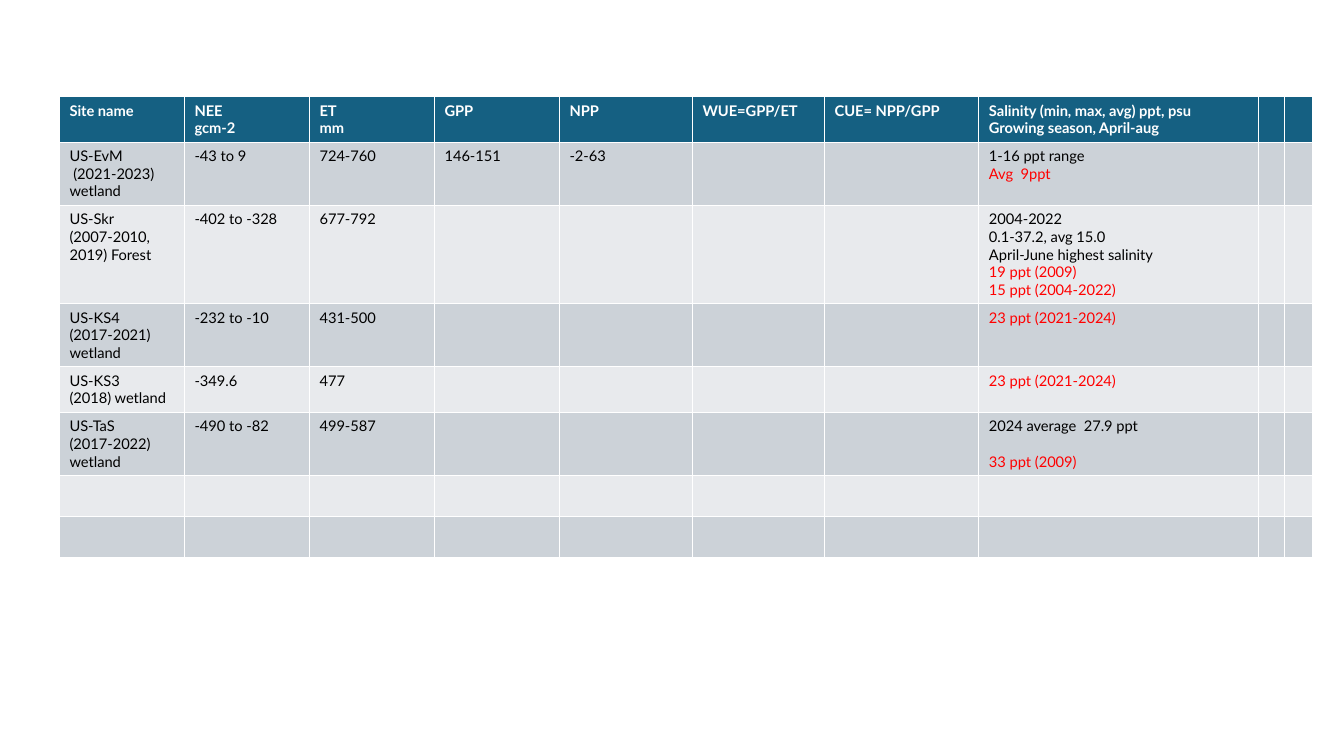
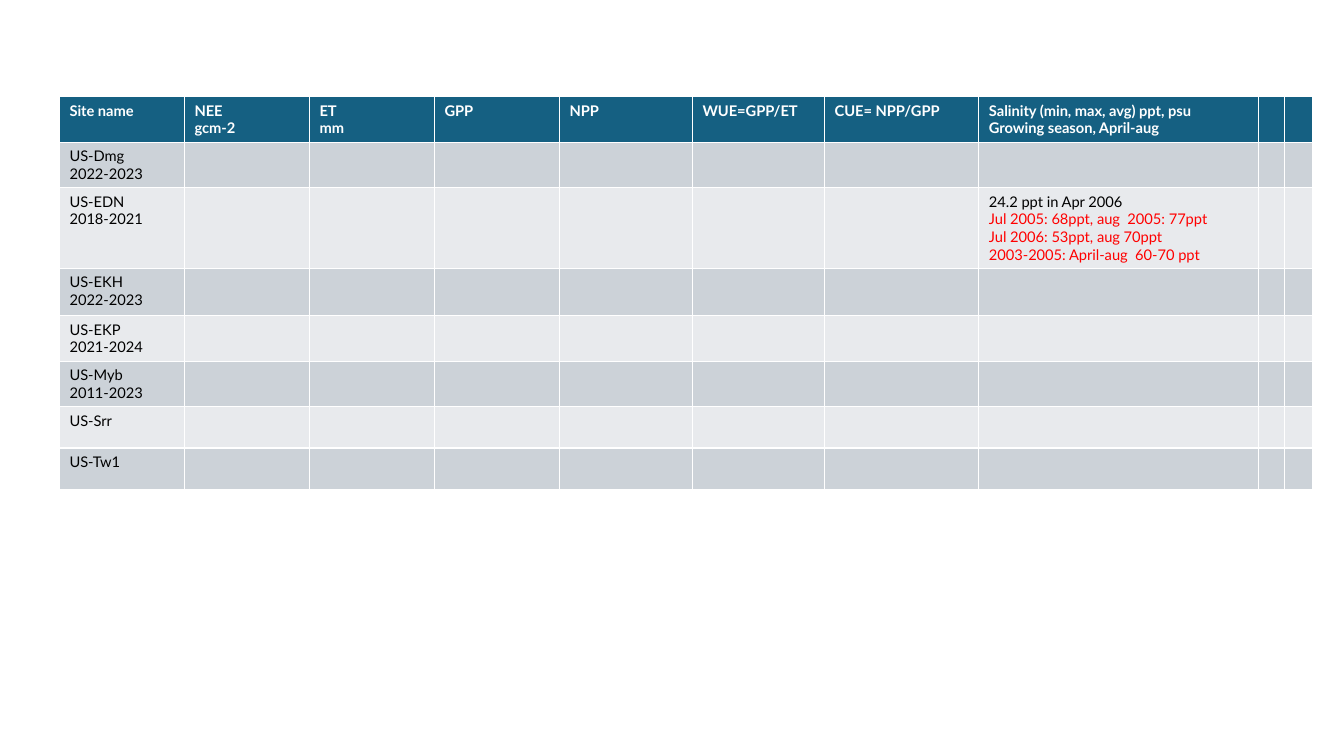
import pptx
import pptx.dml.color
import pptx.util

Inches, Pt = pptx.util.Inches, pptx.util.Pt
RGBColor = pptx.dml.color.RGBColor

TEAL = RGBColor(0x15, 0x60, 0x82)
BAND_DARK = RGBColor(0xCC, 0xD2, 0xD8)
BAND_LIGHT = RGBColor(0xE8, 0xEA, 0xED)
WHITE = RGBColor(0xFF, 0xFF, 0xFF)
BLACK = RGBColor(0, 0, 0)
RED = RGBColor(0xFF, 0, 0)

HEADINGS = [
    "Site name", "NEE\ngcm-2", "ET\nmm", "GPP", "NPP", "WUE=GPP/ET", "CUE= NPP/GPP",
    "Salinity (min, max, avg) ppt, psu\nGrowing season, April-aug", "", "",
]
COLUMN_WIDTHS = [1.24, 1.24, 1.24, 1.24, 1.32, 1.31, 1.53, 2.77, 0.26, 0.28]
ROW_HEIGHTS = [0.41, 0.41, 0.41, 0.47, 0.41, 0.41, 0.41, 0.41]
SALINITY_COLUMN = 7
LEFT, TOP = 0.59, 0.96

FORMAT = {"name": "Lato", "size": Pt(10.5)}
LINE_GAP = Pt(12.6)

SITE_TABLES = [
    [
        {"values": ["US-EvM\n (2021-2023) wetland", "-43 to 9", "724-760", "146-151", "-2-63"],
         "salinity": "1-16 ppt range", "red": "Avg  9ppt"},
        {"values": ["US-Skr\n(2007-2010, 2019) Forest", "-402 to -328", "677-792"],
         "salinity": "2004-2022\n0.1-37.2, avg 15.0\nApril-June highest salinity",
         "red": "19 ppt (2009)\n15 ppt (2004-2022)"},
        {"values": ["US-KS4\n(2017-2021) wetland", "-232 to -10", "431-500"],
         "red": "23 ppt (2021-2024)"},
        {"values": ["US-KS3\n(2018) wetland", "-349.6", "477"],
         "red": "23 ppt (2021-2024)"},
        {"values": ["US-TaS\n(2017-2022) wetland", "-490 to -82", "499-587"],
         "salinity": "2024 average  27.9 ppt", "red": "33 ppt (2009)", "gap": LINE_GAP},
        {"values": []},
        {"values": []},
    ],
    [
        {"values": ["US-Dmg\n2022-2023"]},
        {"values": ["US-EDN\n2018-2021"],
         "salinity": "24.2 ppt in Apr 2006",
         "red": "Jul 2005: 68ppt, aug  2005: 77ppt\nJul 2006: 53ppt, aug 70ppt\n"
                "2003-2005: April-aug  60-70 ppt"},
        {"values": ["US-EKH\n2022-2023"]},
        {"values": ["US-EKP\n2021-2024"]},
        {"values": ["US-Myb\n2011-2023"]},
        {"values": ["US-Srr"]},
        {"values": ["US-Tw1"]},
    ],
]


def write_lines(cell, lines, bold=False):
    for index, (text, color, gap) in enumerate(lines):
        frame = cell.text_frame
        paragraph = frame.paragraphs[0] if index == 0 else frame.add_paragraph()
        if gap:
            paragraph.space_before = gap
        run = paragraph.add_run()
        run.text = text
        for key, value in {**FORMAT, "bold": bold}.items():
            setattr(run.font, key, value)
        run.font.color.rgb = color


def colored(text, color, gap=None):
    return [(line, color, gap if index == 0 else None)
            for index, line in enumerate(text.splitlines())]


def fill_row(table, row, fill, cells, bold=False):
    for column in range(len(COLUMN_WIDTHS)):
        cell = table.cell(row, column)
        cell.fill.solid()
        cell.fill.fore_color.rgb = fill
        write_lines(cell, cells.get(column, []), bold)


def add_site_table(slide, sites):
    table = slide.shapes.add_table(
        len(sites) + 1, len(COLUMN_WIDTHS), Inches(LEFT), Inches(TOP),
        Inches(sum(COLUMN_WIDTHS)), Inches(sum(ROW_HEIGHTS))).table
    table.horz_banding = False
    for column, width in zip(table.columns, COLUMN_WIDTHS):
        column.width = Inches(width)
    for row, height in zip(table.rows, ROW_HEIGHTS):
        row.height = Inches(height)

    headings = {i: colored(text, WHITE) for i, text in enumerate(HEADINGS)}
    fill_row(table, 0, TEAL, headings, bold=True)
    for row, site in enumerate(sites, start=1):
        cells = {i: colored(text, BLACK) for i, text in enumerate(site["values"])}
        cells[SALINITY_COLUMN] = (colored(site.get("salinity", ""), BLACK)
                                  + colored(site.get("red", ""), RED, site.get("gap")))
        fill_row(table, row, BAND_DARK if row % 2 else BAND_LIGHT, cells)


def main():
    deck = pptx.Presentation()
    deck.slide_width, deck.slide_height = Inches(13.33), Inches(7.5)
    blank_layout = deck.slide_layouts[6]
    for sites in SITE_TABLES:
        add_site_table(deck.slides.add_slide(blank_layout), sites)
    deck.save("out.pptx")


if __name__ == "__main__":
    main()
